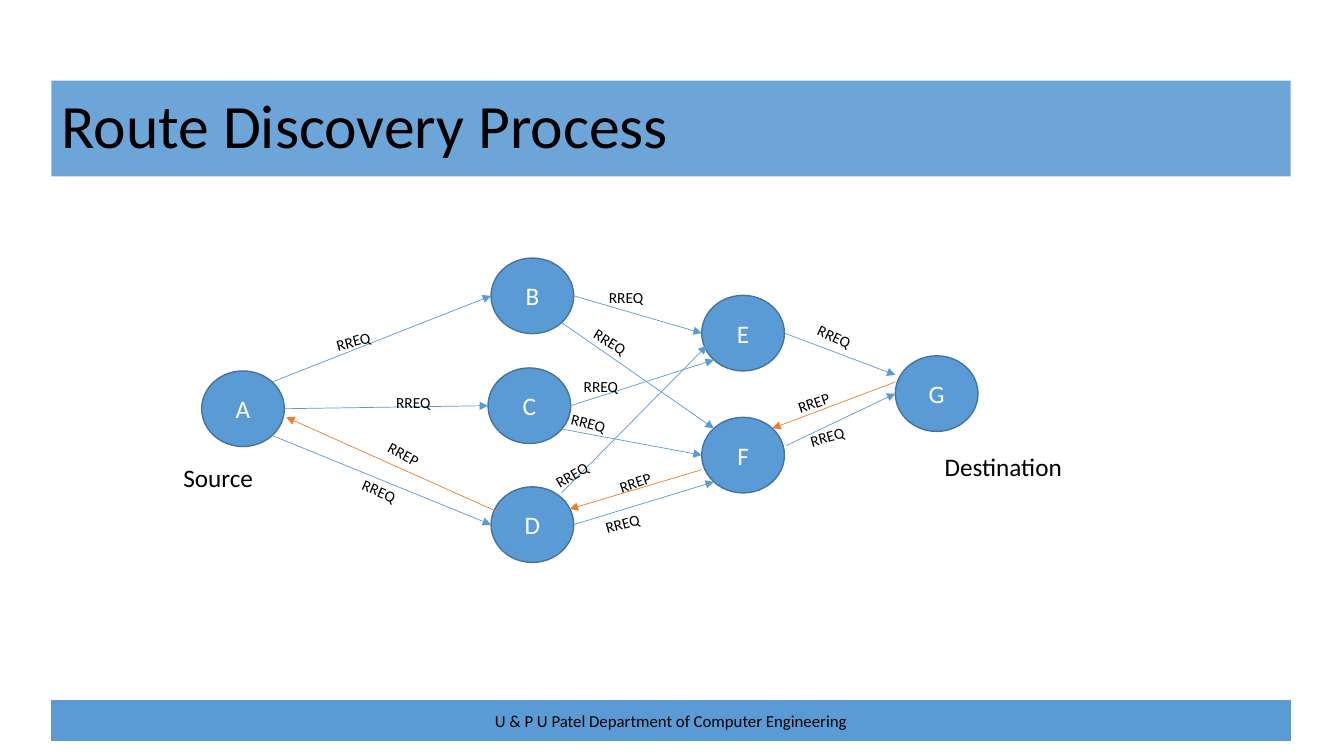
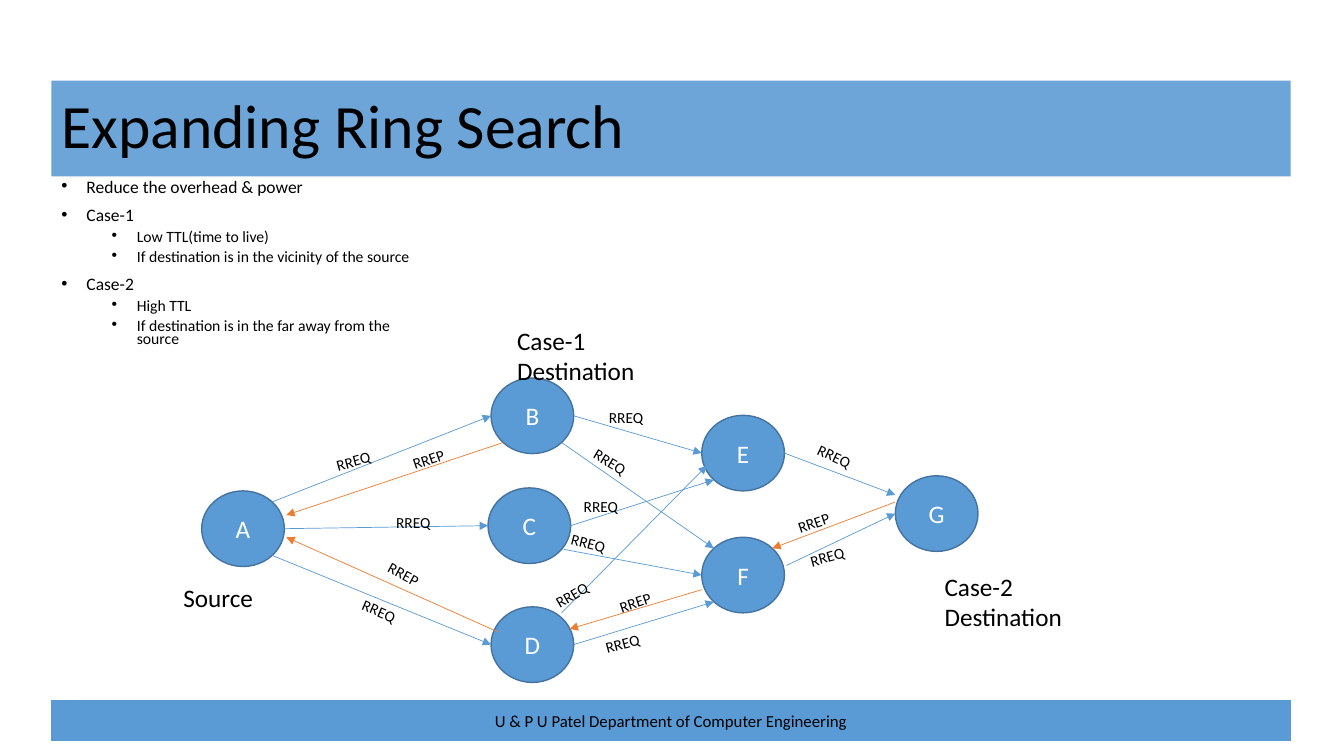
import pptx
import pptx.util
from lxml import etree
from pptx.dml.color import RGBColor
from pptx.enum.shapes import MSO_CONNECTOR, MSO_SHAPE
from pptx.enum.text import MSO_ANCHOR, MSO_AUTO_SIZE, PP_ALIGN
from pptx.oxml.ns import qn
from pptx.util import Inches, Pt

BLUE = RGBColor(0x5B, 0x9B, 0xD5)
RIM_BLUE = RGBColor(0x43, 0x73, 0x9E)
ORANGE = RGBColor(0xED, 0x7D, 0x31)
BLACK = RGBColor(0, 0, 0)
WHITE = RGBColor(0xFF, 0xFF, 0xFF)
FONT = "Calibri"

BAND_LEFT, BAND_WIDTH = 0.51, 12.29
TITLE_TOP, TITLE_HEIGHT = 0.8, 0.95
FOOTER_TOP, FOOTER_HEIGHT = 6.95, 0.4
FOOTER = "U & P U Patel Department of Computer Engineering"

NODE_W, NODE_H = 0.82, 0.75
NODES = {
    "A": (2, 3.68), "B": (4.87, 2.56), "C": (4.84, 3.65), "D": (4.87, 4.83),
    "E": (6.96, 2.93), "F": (6.96, 4.14), "G": (8.88, 3.53),
}
# Points on a node's rim, as shares of its width and height
RIM = {"E": (1, 0.5), "W": (0, 0.5), "NE": (0.854, 0.146), "NW": (0.146, 0.146),
       "SE": (0.854, 0.854), "SW": (0.146, 0.854)}

# Arrow start, arrow end, then label left, top, width and rotation
REQUESTS = [
    ("A NE", "B W", 3.23, 3.2, 0.85, -15.1),
    ("A SE", "D W", 3.49, 4.73, 0.55, 23),
    ("A E", "C W", 3.83, 3.85, 0.55, 0),
    ("B E", "E W", 5.94, 2.81, 0.55, 0),
    ("B SE", "F NW", 5.78, 3.25, 0.55, 30.8),
    ("C E", "E SW", 5.69, 3.69, 0.55, 0),
    ((5.57, 4.89), (7.01, 3.43), 5.38, 4.49, 0.85, -30.6),
    ((5.59, 4.26), "F W", 5.56, 4.1, 0.9, 14.4),
    ("D E", "F SW", 5.9, 5.01, 0.85, -15.1),
    ("E E", (8.88, 3.72), 7.99, 3.26, 0.85, 25),
    ((7.8, 4.42), "G W", 7.93, 4.15, 0.85, -15.1),
]
REPLIES = [
    ((8.88, 3.79), "F NE", 7.81, 3.84, 0.59, -18.7),
    ((6.96, 4.66), (5.65, 5.05), 6.04, 4.63, 0.59, -18.7),
    ((4.94, 5.08), (2.84, 4.14), 3.74, 4.38, 0.59, 28.2),
]
NEARBY_REPLY = ("B SW", (2.84, 3.92), 3.99, 3.21, 0.59, -18.7)

# Role text, left, top, width, height
SOURCE = ("Source", 1.72, 4.54, 0.98, 0.4)
SLIDES = [
    {
        "title": "Route Discovery Process", "drop": 0, "bullets": [],
        "replies": REPLIES,
        "roles": [SOURCE, ("Destination", 9.27, 4.43, 1.43, 0.4)],
    },
    {
        "title": "Expanding Ring Search", "drop": 1.19,
        "bullets": [
            (0, "Reduce the overhead & power"),
            (0, "Case-1"),
            (1, "Low TTL(time to live)"),
            (1, "If destination is in the vicinity of the source"),
            (0, "Case-2"),
            (1, "High TTL"),
            (1, "If destination is in the far away from the source"),
        ],
        "replies": REPLIES + [NEARBY_REPLY],
        "roles": [SOURCE, ("Case-2 Destination", 9.27, 4.43, 1.43, 0.71),
                  ("Case-1 Destination", 5.03, 1.99, 1.43, 0.71)],
    },
]
# Size in points, left indent in inches, space before in points
BULLET_LEVELS = [(12.5, 0.25, 10), (11.2, 0.75, 5)]


def style(paragraph, size, color=BLACK, align=PP_ALIGN.LEFT):
    paragraph.alignment = align
    font = paragraph.font
    font.name, font.size, font.color.rgb = FONT, Pt(size), color


def add_filled(slide, preset, box, text, size, color, line_color, line_width):
    shape = slide.shapes.add_shape(preset, *map(Inches, box))
    shape.shadow.inherit = False
    shape.fill.solid()
    shape.fill.fore_color.rgb = BLUE
    shape.line.color.rgb = line_color
    shape.line.width = Pt(line_width)
    shape.text_frame.text = text
    shape.text_frame.vertical_anchor = MSO_ANCHOR.MIDDLE
    style(shape.text_frame.paragraphs[0], size, color, PP_ALIGN.CENTER)
    return shape


def add_text(slide, text, box, size, rotation=0, wrap=True):
    label = slide.shapes.add_textbox(*map(Inches, box))
    label.rotation = rotation
    label.text_frame.word_wrap = wrap
    label.text_frame.text = text
    style(label.text_frame.paragraphs[0], size)


def format_title(title, text):
    title.left, title.top = Inches(BAND_LEFT), Inches(TITLE_TOP)
    title.width, title.height = Inches(BAND_WIDTH), Inches(TITLE_HEIGHT)
    title.fill.solid()
    title.fill.fore_color.rgb = BLUE
    tint = title.element.spPr.find(".//" + qn("a:srgbClr"))
    etree.SubElement(tint, qn("a:alpha")).set("val", "89000")
    frame = title.text_frame
    frame.text = text
    frame.auto_size = MSO_AUTO_SIZE.NONE
    frame.vertical_anchor = MSO_ANCHOR.MIDDLE
    frame.paragraphs[0].line_spacing = 0.9
    style(frame.paragraphs[0], 44)


def add_bullets(slide, bullets):
    box = slide.shapes.add_textbox(Inches(BAND_LEFT), Inches(TITLE_TOP + TITLE_HEIGHT),
                                   Inches(3.87), Inches(2))
    frame = box.text_frame
    frame.word_wrap = True
    for index, (level, text) in enumerate(bullets):
        paragraph = frame.add_paragraph() if index else frame.paragraphs[0]
        size, indent, gap = BULLET_LEVELS[level]
        paragraph.text = text
        paragraph.level = level
        paragraph.line_spacing = 0.7
        paragraph.space_before = Pt(gap if index else 0)
        properties = paragraph._p.get_or_add_pPr()
        properties.set("marL", str(Inches(indent)))
        properties.set("indent", str(Inches(-0.25)))
        etree.SubElement(properties, qn("a:buFont")).set("typeface", "Arial")
        etree.SubElement(properties, qn("a:buChar")).set("char", "•")
        style(paragraph, size)


def locate(end):
    """Turn 'node side' or a plain point into x, y."""
    if not isinstance(end, str):
        return end
    node, side = end.split()
    (left, top), (across, down) = NODES[node], RIM[side]
    return left + across * NODE_W, top + down * NODE_H


def add_arrow(slide, start, end, color, drop):
    (x1, y1), (x2, y2) = locate(start), locate(end)
    arrow = slide.shapes.add_connector(
        MSO_CONNECTOR.STRAIGHT, *map(Inches, (x1, y1 + drop, x2, y2 + drop)))
    arrow.line.color.rgb = color
    arrow.line.width = Pt(0.5)
    etree.SubElement(arrow.line._get_or_add_ln(), qn("a:tailEnd")).set("type", "triangle")
    etree.SubElement(arrow.element.spPr, qn("a:effectLst"))


def add_network(slide, replies, roles, drop):
    for name, (left, top) in NODES.items():
        add_filled(slide, MSO_SHAPE.OVAL, (left, top + drop, NODE_W, NODE_H),
                   name, 18, WHITE, RIM_BLUE, 1)
    for text, color, messages in (("RREQ", BLUE, REQUESTS), ("RREP", ORANGE, replies)):
        for start, end, *_ in messages:
            add_arrow(slide, start, end, color, drop)
        for _, _, left, top, width, rotation in messages:
            add_text(slide, text, (left, top + drop, width, 0.29), 11,
                     rotation, wrap=width > 0.55)
    for text, left, top, width, height in roles:
        add_text(slide, text, (left, top + drop, width, height), 18)


def main():
    deck = pptx.Presentation()
    deck.slide_width, deck.slide_height = Inches(13.33), Inches(7.5)
    layout = deck.slide_layouts[5]
    for number, content in enumerate(SLIDES):
        slide = deck.slides.add_slide(layout)
        if number == 0:
            footer = add_filled(slide, MSO_SHAPE.RECTANGLE,
                                (BAND_LEFT, FOOTER_TOP, BAND_WIDTH, FOOTER_HEIGHT),
                                FOOTER, 12, BLACK, BLUE, 0.75)
            layout.shapes.element.append(footer.element)  # shared by every slide
        format_title(slide.shapes.title, content["title"])
        if content["bullets"]:
            add_bullets(slide, content["bullets"])
        add_network(slide, content["replies"], content["roles"], content["drop"])
    deck.save("out.pptx")


if __name__ == "__main__":
    main()
